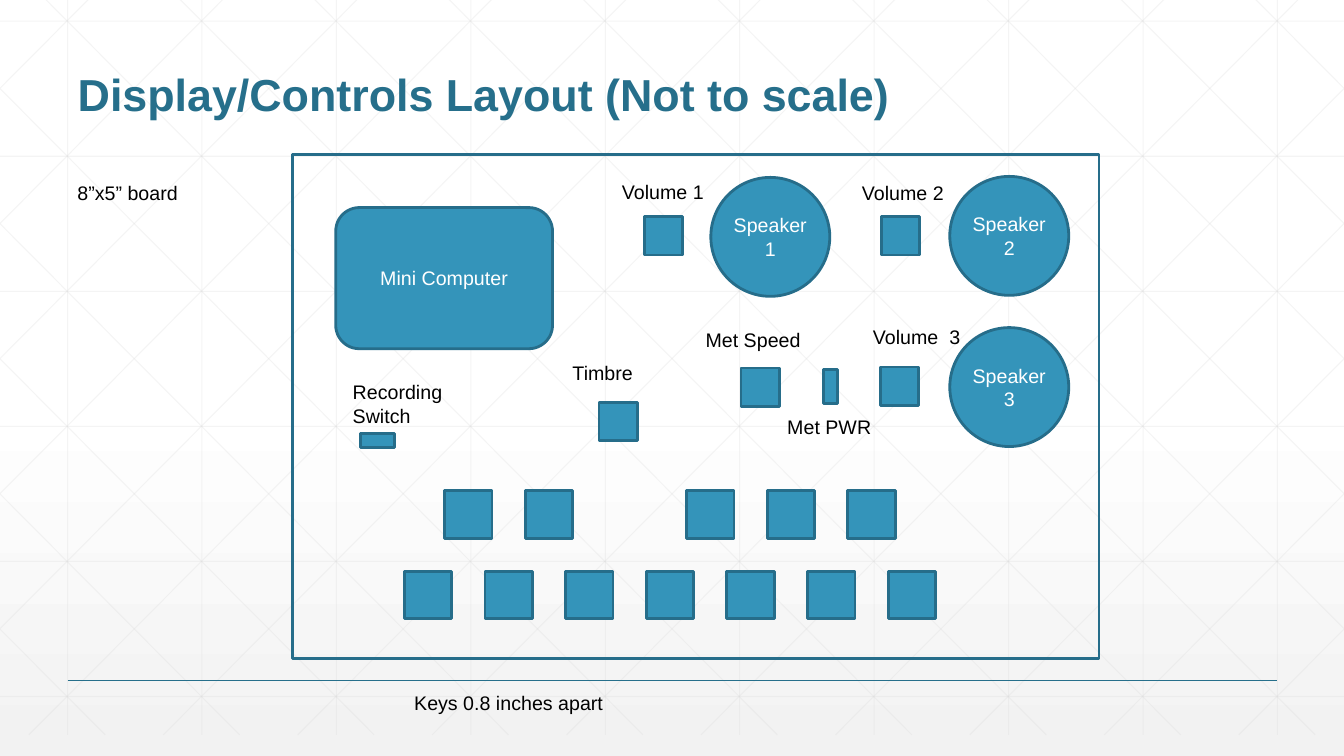
"""Build the display and controls layout slide."""
from dataclasses import dataclass

from lxml import etree
from pptx import Presentation
from pptx import util as u
from pptx.dml.color import RGBColor
from pptx.enum import shapes, text
from pptx.oxml.ns import qn


@dataclass(frozen=True)
class Theme:
    font: str = "Arial"
    title_size: int = 32
    body_size: int = 14
    title: str = "266F8B"
    fill: str = "3494BA"
    outline: str = "266D8A"
    grid: str = "D8D8D8"
    white: str = "FFFFFF"
    black: str = "000000"
    page_end: str = "F2F2F2"
    outline_width: float = 2
    rule_width: float = 1
    grid_width: float = 0.75
    grid_opacity: int = 25


THEME = Theme()
WIDTH, HEIGHT = 13.33, 7.5
TITLE = "Display/Controls Layout (Not to scale)"
BOARD = (2.9, 1.53, 8, 5)
COMPUTER = ("Mini Computer", 3.33, 2.06, 2.15, 1.4)
SPEAKER_SIZE = 1.18
SPEAKERS = [("Speaker 3", 9.42, 3.25), ("Speaker 2", 9.42, 1.75), ("Speaker 1", 7.05, 1.76)]
KNOB_SIZE = 0.38
KNOBS = [(5.94, 3.99), (7.35, 3.65), (8.74, 2.15), (6.39, 2.15), (8.73, 3.64)]
SWITCHES = [(3.58, 4.3, 0.33, 0.14), (8.17, 3.67, 0.14, 0.33)]
LABELS = [
    ("Volume  3", 8.56, 3.17, 1.4, 0.34),
    ("Volume 1", 6.07, 1.74, 1.4, 0.34),
    ("Volume 2", 8.45, 1.75, 1.4, 0.34),
    ("Met PWR", 7.71, 4.07, 1.4, 0.34),
    ("Met Speed", 6.9, 3.2, 1.4, 0.34),
    ("Timbre", 5.58, 3.53, 1.4, 0.34),
    ("Recording Switch", 3.4, 3.72, 1.4, 0.57),
    ("8”x5” board", 0.67, 1.75, 1.4, 0.34),
    ("Keys 0.8 inches apart", 4.01, 6.81, 3.2, 0.34),
]
KEY_SIZE, KEY_PITCH, KEY_LEFT = 0.47, 0.8, 4.01
KEY_ROWS = [(5.67, [0, 1, 2, 3, 4, 5, 6]), (4.87, [0.5, 1.5, 3.5, 4.5, 5.5])]
GRID_TOP, GRID_BOTTOM = -0.21, 7.29
GRID_PITCH = 4 / 3


def inches(*lengths):
    return [u.Inches(length) for length in lengths]


def color(name):
    return RGBColor.from_string(name)


def write(shape, words, *, size=THEME.body_size, ink=THEME.black, bold=False,
          align=None, anchor=text.MSO_ANCHOR.TOP, side=0.1, spacing=None):
    frame = shape.text_frame
    frame.word_wrap = True
    frame.auto_size = text.MSO_AUTO_SIZE.NONE
    frame.vertical_anchor = anchor
    frame.margin_left = frame.margin_right = u.Inches(side)
    frame.margin_top = frame.margin_bottom = u.Inches(0.05)
    para = frame.paragraphs[0]
    para.alignment = align
    para.line_spacing = spacing
    span = para.add_run()
    span.text = words
    span.font.name = THEME.font
    span.font.size = u.Pt(size)
    span.font.bold = bold
    span.font.color.rgb = color(ink)


def add_part(page, kind, place, *, words=None, filled=True, side=0.1):
    part = page.shapes.add_shape(kind, *inches(*place))
    part.shadow.inherit = False
    if filled:
        part.fill.solid()
        part.fill.fore_color.rgb = color(THEME.fill)
    else:
        part.fill.background()
    part.line.color.rgb = color(THEME.outline)
    part.line.width = u.Pt(THEME.outline_width)
    if words:
        write(part, words, ink=THEME.white, align=text.PP_ALIGN.CENTER,
              anchor=text.MSO_ANCHOR.MIDDLE, side=side)


def add_line(page, ends, ink, width, opacity=100):
    line = page.shapes.add_connector(shapes.MSO_CONNECTOR.STRAIGHT, *inches(*ends))
    line.line.color.rgb = color(ink)
    line.line.width = u.Pt(width)
    properties = line._element.spPr
    if opacity < 100:
        tint = properties.find(".//" + qn("a:srgbClr"))
        etree.SubElement(tint, qn("a:alpha")).set("val", str(opacity * 1000))
    etree.SubElement(properties, qn("a:effectLst"))


def grid_lines():
    for column in range(10):
        x = 0.67 + column * GRID_PITCH
        yield x, GRID_TOP, x, GRID_BOTTOM
    for row in range(6):
        y = 0.21 + row * 1.34
        yield 0, y, WIDTH, y
    run = 7.46
    slope = (GRID_BOTTOM - GRID_TOP) / run
    for step in range(-5, 10):
        start = 0.25 + step * GRID_PITCH
        left, right = max(start, 0), min(start + run, WIDTH)
        top, bottom = (GRID_TOP + (x - start) * slope for x in (left, right))
        yield left, top, right, bottom
        yield WIDTH - left, top, WIDTH - right, bottom


def paint_background(page):
    fill = page.background.fill
    fill.gradient()
    fill.gradient_angle = 270
    stops = zip(fill.gradient_stops, (0.53, 1), (THEME.white, THEME.page_end))
    for stop, position, ink in stops:
        stop.position = position
        stop.color.rgb = color(ink)


def add_title(page):
    title = page.shapes.title
    title.left, title.top, title.width, title.height = inches(0.67, 0.25, 12, 1)
    write(title, TITLE, size=THEME.title_size, ink=THEME.title, bold=True,
          align=text.PP_ALIGN.LEFT, anchor=text.MSO_ANCHOR.BOTTOM, spacing=0.9)
    page.shapes._spTree.append(title._element)


def add_controls(page):
    kinds = shapes.MSO_SHAPE
    name, *place = COMPUTER
    add_part(page, kinds.ROUNDED_RECTANGLE, place, words=name)
    for name, left, top in SPEAKERS:
        add_part(page, kinds.OVAL, (left, top, SPEAKER_SIZE, SPEAKER_SIZE), words=name, side=0)
    add_part(page, kinds.RECTANGLE, BOARD, filled=False)
    knobs = [(left, top, KNOB_SIZE, KNOB_SIZE) for left, top in KNOBS]
    keys = [(KEY_LEFT + slot * KEY_PITCH, top, KEY_SIZE, KEY_SIZE)
            for top, slots in KEY_ROWS for slot in slots]
    for place in knobs + SWITCHES + keys:
        add_part(page, kinds.RECTANGLE, place)
    for words, *place in LABELS:
        write(page.shapes.add_textbox(*inches(*place)), words)


def main():
    deck = Presentation()
    deck.slide_width, deck.slide_height = inches(WIDTH, HEIGHT)
    page = deck.slides.add_slide(deck.slide_layouts[5])
    paint_background(page)
    for ends in grid_lines():
        add_line(page, ends, THEME.grid, THEME.grid_width, THEME.grid_opacity)
    add_line(page, (0.67, 6.75, 12.67, 6.75), THEME.title, THEME.rule_width)
    add_title(page)
    add_controls(page)
    deck.save("out.pptx")


if __name__ == "__main__":
    main()
